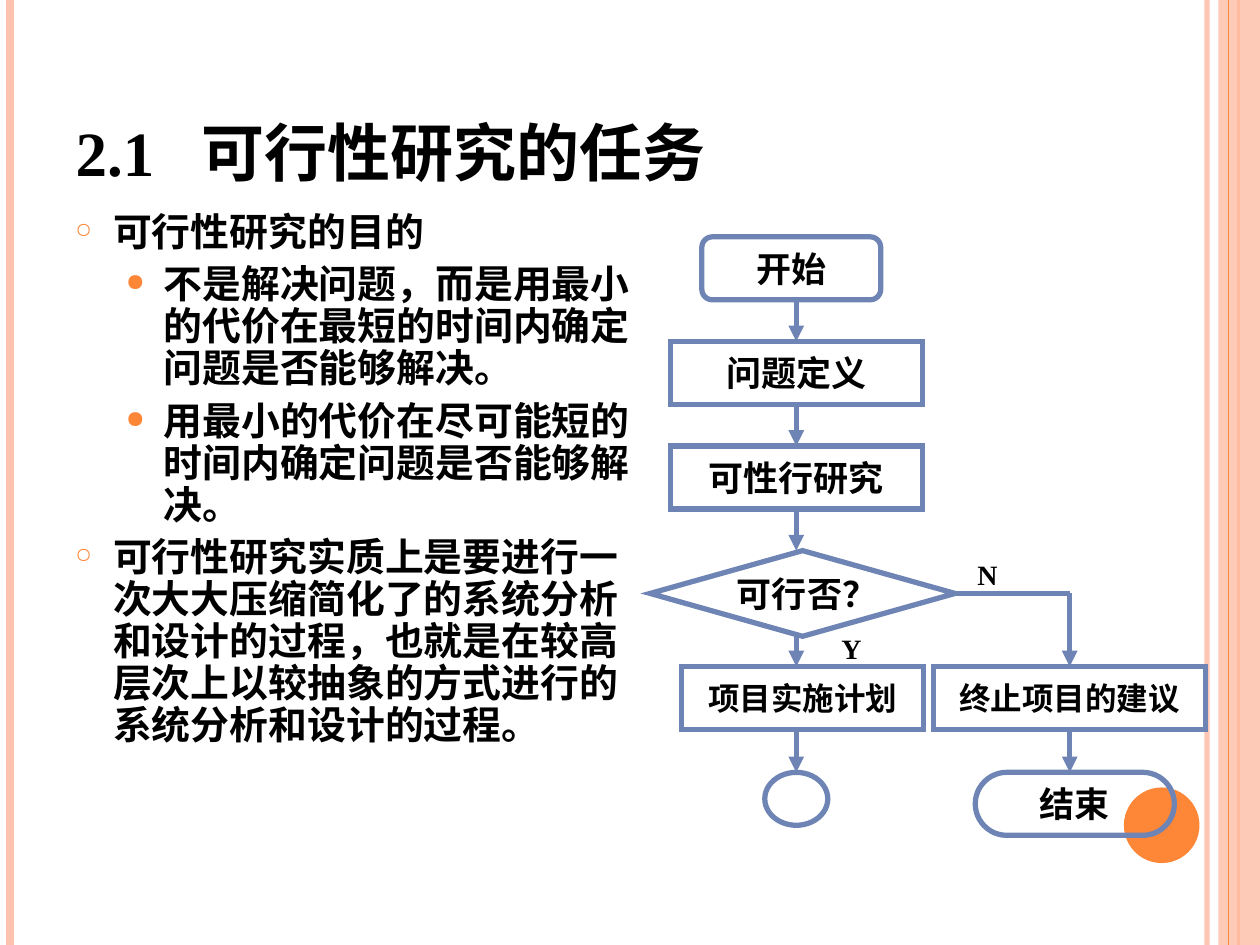
from dataclasses import dataclass
from typing import Any, Optional

from pptx import Presentation
from pptx import util as u
from pptx.dml import color
from pptx.enum import shapes, text
from pptx.oxml import ns
from lxml import etree

SERIF, SANS = "Times New Roman", "Noto Sans CJK SC"
BLACK, WHITE, BLUE = "000000", "FFFFFF", "6E84B4"
PEACH, ORANGE = "FEC3AE", "FE8637"
KIND = shapes.MSO_SHAPE
LEFT, MID = text.PP_ALIGN.LEFT, text.PP_ALIGN.CENTER
AXIS, SIDE = 6.32, 8.49
ROW = 0.5


@dataclass
class Node:
    key: str
    kind: Any
    x: float
    y: float
    w: float
    h: float = ROW
    label: str = ""
    size: float = 20
    font: str = SERIF
    bend: Optional[float] = None
    fill: Optional[str] = None
    pad: float = 0.1


@dataclass
class Link:
    x1: float
    y1: float
    x2: float
    y2: float
    head: bool = True
    start: Optional[tuple[str, int]] = None
    end: Optional[tuple[str, int]] = None


@dataclass
class Rail:
    x: float
    hue: str
    width: float
    alpha: int = 100


@dataclass
class Tag:
    label: str
    x: float
    y: float


@dataclass
class Point:
    label: str
    level: int = 0


NODES = [
    Node("start", KIND.ROUNDED_RECTANGLE, 5.57, 1.88, 1.42, label="开始", font=SANS, bend=0.167),
    Node("define", KIND.RECTANGLE, 5.32, 2.71, 2, label="问题定义"),
    Node("study", KIND.RECTANGLE, 5.32, 3.54, 2, label="可性行研究"),
    Node("check", KIND.DIAMOND, 5.16, 4.37, 2.42, 0.68, "可行否？", pad=0.17),
    Node("plan", KIND.RECTANGLE, 5.41, 5.29, 1.92, label="项目实施计划", size=18),
    Node("stop", KIND.RECTANGLE, 7.41, 5.29, 2.16, label="终止项目的建议", size=18),
    Node("next", KIND.OVAL, 6.07, 6.13, 0.5, 0.42, fill=WHITE),
    Node("end", KIND.ROUNDED_RECTANGLE, 7.74, 6.13, 1.58, label="结束", bend=0.5),
]
LINKS = [
    Link(AXIS, 2.38, AXIS, 2.71, end=("define", 0)),
    Link(AXIS, 3.21, AXIS, 3.54, start=("define", 2), end=("study", 0)),
    Link(AXIS, 4.04, AXIS, 4.37, start=("study", 2)),
    Link(AXIS, 5.04, AXIS, 5.29),
    Link(AXIS, 5.79, AXIS, 6.13, end=("next", 0)),
    Link(7.57, 4.71, SIDE, 4.71, head=False, start=("check", 3)),
    Link(SIDE, 4.71, SIDE, 5.29, end=("stop", 0)),
    Link(SIDE, 5.79, SIDE, 6.13, start=("stop", 2)),
]
BACK = [Rail(9.58, PEACH, 3, 93), Rail(0.08, PEACH, 4.5), Rail(9.83, ORANGE, 1.5)]
FRONT = [Rail(9.75, ORANGE, 0.75)]
TAGS = [Tag("Y", 6.58, 4.96), Tag("N", 7.66, 4.38)]
POINTS = [
    Point("可行性研究的目的"),
    Point("不是解决问题，而是用最小的代价在最短的时间内确定问题是否能够解决。", 1),
    Point("用最小的代价在尽可能短的时间内确定问题是否能够解决。", 1),
    Point("可行性研究实质上是要进行一次大大压缩简化了的系统分析和设计的过程，"
          "也就是在较高层次上以较抽象的方式进行的系统分析和设计的过程。"),
]


def add(up: Any, tag: str, **attrs: Any) -> Any:
    return etree.SubElement(up, ns.qn(tag), {k: str(v) for k, v in attrs.items()})


def paint(fill: Any, hue: str, alpha: int = 100) -> None:
    fill.solid()
    fill.fore_color.rgb = color.RGBColor.from_string(hue)
    if alpha < 100:
        for tone in fill._xPr.iter(ns.qn("a:srgbClr")):
            add(tone, "a:alpha", val=alpha * 1000)


def write(para: Any, label: str, size: float, font: str = SERIF, align: Any = LEFT) -> None:
    para.alignment = align
    run = para.add_run()
    run.text = label
    run.font.size, run.font.bold, run.font.name = u.Pt(size), True, font
    paint(run.font.fill, BLACK)
    add(run.font._element, "a:ea", typeface=SANS)


def place(slide: Any, kind: Any, x: float, y: float, w: float, h: float) -> Any:
    shape = slide.shapes.add_shape(kind, u.Inches(x), u.Inches(y), u.Inches(w), u.Inches(h))
    shape.shadow.inherit = False
    return shape


def stroke(slide: Any, x1: float, y1: float, x2: float, y2: float,
           hue: str, width: float, alpha: int = 100) -> Any:
    line = slide.shapes.add_connector(shapes.MSO_CONNECTOR.STRAIGHT, u.Inches(x1),
                                      u.Inches(y1), u.Inches(x2), u.Inches(y2))
    line.line.width = u.Pt(width)
    paint(line.line.fill, hue, alpha)
    add(line._element.spPr, "a:effectLst")
    return line


def frame(slide: Any) -> None:
    for rail in BACK:
        stroke(slide, rail.x, 0, rail.x, 7.5, rail.hue, rail.width, rail.alpha)
    band = place(slide, KIND.RECTANGLE, 9.67, 0, 0.33, 7.5)
    paint(band.fill, PEACH, 87)
    band.line.fill.background()
    for rail in FRONT:
        stroke(slide, rail.x, 0, rail.x, 7.5, rail.hue, rail.width, rail.alpha)
    disc = place(slide, KIND.OVAL, 8.92, 6.25, 0.6, 0.6)
    paint(disc.fill, ORANGE)
    disc.line.fill.background()


def head(slide: Any) -> None:
    title = slide.shapes.title
    title.left, title.top = u.Inches(0.5), u.Inches(0.3)
    title.width, title.height = u.Inches(8.17), u.Inches(1.25)
    body = title.text_frame
    body.vertical_anchor = text.MSO_ANCHOR.BOTTOM
    para = body.paragraphs[0]
    tabs = add(para._p.get_or_add_pPr(), "a:tabLst")
    add(tabs, "a:tab", pos=u.Inches(1), algn="l")
    write(para, "2.1\t可行性研究的任务", 36)


def outline(slide: Any) -> None:
    box = slide.shapes.add_textbox(u.Inches(0.5), u.Inches(1.64), u.Inches(4.73), u.Inches(5.44))
    body = box.text_frame
    body.word_wrap = True
    for i, point in enumerate(POINTS):
        para = body.add_paragraph() if i else body.paragraphs[0]
        para.level = point.level
        props = para._p.get_or_add_pPr()
        props.set("marL", str(u.Inches((0.3, 0.7)[point.level])))
        props.set("indent", str(u.Inches(-0.3)))
        add(add(props, "a:buClr"), "a:srgbClr", val=ORANGE)
        add(props, "a:buSzPct", val=(54000, 62000)[point.level])
        add(props, "a:buChar", char="○●"[point.level])
        para.line_spacing = 0.9
        para.space_before = u.Pt(6 if i else 0)
        write(para, point.label, 22.2)


def draw(slide: Any, node: Node) -> Any:
    shape = place(slide, node.kind, node.x, node.y, node.w, node.h)
    if node.bend is not None:
        shape.adjustments[0] = node.bend
    if node.fill:
        paint(shape.fill, node.fill)
    else:
        shape.fill.background()
    shape.line.width = u.Pt(3)
    paint(shape.line.fill, BLUE)
    add(shape.line._get_or_add_ln(), "a:miter", lim=800000)
    if node.label:
        body = shape.text_frame
        body.word_wrap = False
        body.margin_left = u.Inches(node.pad)
        body.vertical_anchor = text.MSO_ANCHOR.MIDDLE
        write(body.paragraphs[0], node.label, node.size, node.font, MID)
    return shape


def join(slide: Any, link: Link, made: dict[str, Any]) -> None:
    line = stroke(slide, link.x1, link.y1, link.x2, link.y2, BLUE, 3)
    if link.start:
        line.begin_connect(made[link.start[0]], link.start[1])
    if link.end:
        line.end_connect(made[link.end[0]], link.end[1])
    if link.head:
        add(line.line._get_or_add_ln(), "a:tailEnd", type="triangle")


def main() -> None:
    deck = Presentation()
    deck.slide_width, deck.slide_height = u.Inches(10), u.Inches(7.5)
    slide = deck.slides.add_slide(deck.slide_layouts[5])
    frame(slide)
    head(slide)
    outline(slide)
    made = {node.key: draw(slide, node) for node in NODES}
    for link in LINKS:
        join(slide, link, made)
    for tag in TAGS:
        box = slide.shapes.add_textbox(u.Inches(tag.x), u.Inches(tag.y), u.Inches(0.36), u.Inches(0.37))
        box.text_frame.word_wrap = False
        write(box.text_frame.paragraphs[0], tag.label, 16)
    deck.save("out.pptx")


if __name__ == "__main__":
    main()
